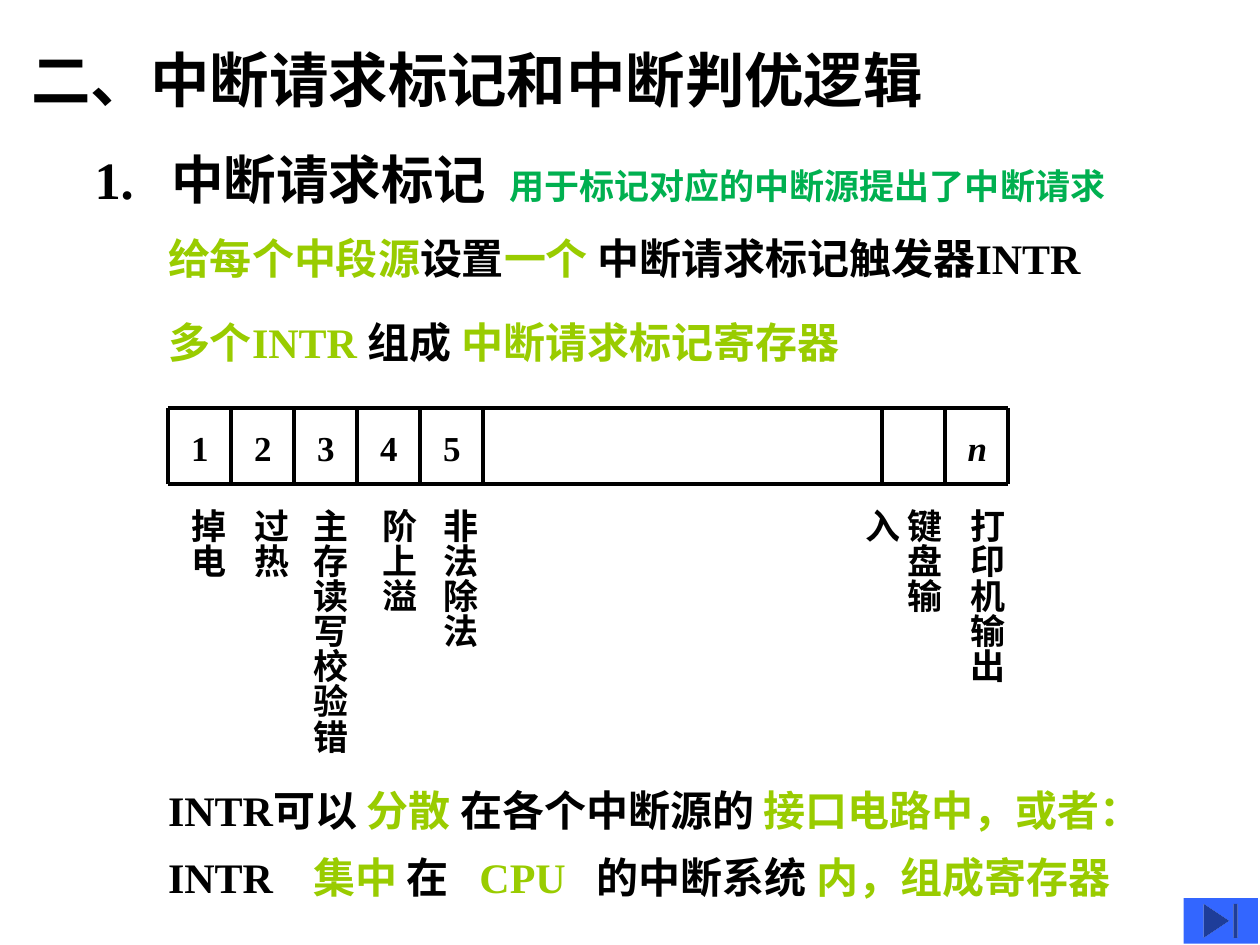
from dataclasses import dataclass

from lxml import etree
from pptx import Presentation
from pptx import util as u
from pptx.dml.color import RGBColor
from pptx.enum import shapes, text
from pptx.oxml.ns import qn


@dataclass(frozen=True)
class Theme:
    font: str = "Times New Roman"
    ink: str = "000000"
    accent: str = "99CC00"
    remark: str = "00B050"
    button: str = "3366FF"
    title: float = 34
    heading: float = 30
    body: float = 24
    label: float = 20
    rule: float = 2.25


class SlideBuilder:
    def __init__(self, slide, theme):
        self.slide = slide
        self.theme = theme

    def format_run(self, run, size, color, italic=None):
        run.font.name = self.theme.font
        run.font.size = u.Pt(size)
        run.font.bold = True
        run.font.italic = italic
        run.font.color.rgb = RGBColor.from_string(color)

    def set_line(self, frame, pieces, tabs=()):
        """Fill a one-line frame with (text, size, colour) pieces."""
        frame.margin_left = frame.margin_right = 0
        frame.auto_size = text.MSO_AUTO_SIZE.NONE
        frame.word_wrap = False
        frame.vertical_anchor = text.MSO_ANCHOR.MIDDLE
        line = frame.paragraphs[0]
        line.alignment = text.PP_ALIGN.LEFT
        if tabs:
            stops = etree.SubElement(line._p.get_or_add_pPr(), qn("a:tabLst"))
            for stop in tabs:
                etree.SubElement(stops, qn("a:tab"), pos=str(u.Pt(stop)), algn="l")
        for words, size, color in pieces:
            run = line.add_run()
            run.text = words
            self.format_run(run, size, color)

    def title(self, words, left, top, width, height):
        heading = self.slide.shapes.title
        heading.left, heading.top = u.Pt(left), u.Pt(top)
        heading.width, heading.height = u.Pt(width), u.Pt(height)
        self.set_line(heading.text_frame, [(words, self.theme.title, self.theme.ink)])

    def box(self, left, top, width, height):
        return self.slide.shapes.add_textbox(
            u.Pt(left), u.Pt(top), u.Pt(width), u.Pt(height))

    def sentence(self, pieces, left, top, width, height, tabs=()):
        self.set_line(self.box(left, top, width, height).text_frame, pieces, tabs)

    def label(self, words, left, top, width, height,
              vertical=False, wrap=False, italic=None):
        label = self.box(left, top, width, height)
        frame = label.text_frame
        frame.text = words
        frame.word_wrap = wrap
        frame.auto_size = text.MSO_AUTO_SIZE.SHAPE_TO_FIT_TEXT
        if vertical:
            label.element.txBody.bodyPr.set("vert", "eaVert")
        self.format_run(frame.paragraphs[0].runs[0],
                        self.theme.label, self.theme.ink, italic)

    def rule(self, x1, y1, x2, y2):
        rule = self.slide.shapes.add_connector(
            shapes.MSO_CONNECTOR.STRAIGHT, u.Pt(x1), u.Pt(y1), u.Pt(x2), u.Pt(y2))
        rule.line.color.rgb = RGBColor.from_string(self.theme.ink)
        rule.line.width = u.Pt(self.theme.rule)
        etree.SubElement(rule.element.spPr, qn("a:effectLst"))

    def end_button(self, left, top, width, height):
        button = self.slide.shapes.add_shape(
            shapes.MSO_SHAPE.ACTION_BUTTON_END,
            u.Pt(left), u.Pt(top), u.Pt(width), u.Pt(height))
        button.shadow.inherit = False
        button.fill.solid()
        button.fill.fore_color.rgb = RGBColor.from_string(self.theme.button)
        button.line.fill.background()


def main():
    deck = Presentation()
    deck.slide_width, deck.slide_height = u.Pt(720), u.Pt(540)
    theme = Theme()
    page = SlideBuilder(deck.slides.add_slide(deck.slide_layouts[5]), theme)
    margin = 96

    # Title and heading
    page.title("二、中断请求标记和中断判优逻辑", 18, 24, 563, 42)
    page.sentence([("1.\t中断请求标记\t", theme.heading, theme.ink),
                   ("用于标记对应的中断源提出了中断请求", theme.label, theme.remark)],
                  54, 78, 579.6, 48, tabs=(44, 237))

    # Statements above and below the register: top, width, height, tabs, pieces
    ink, accent = theme.ink, theme.accent
    statements = [
        (126, 575, 42, (), [("给每个中段源", accent), ("设置", ink),
                            ("一个 ", accent), ("中断请求标记触发器INTR", ink)]),
        (174, 552, 42, (), [("多个INTR ", accent), ("组成 ", ink),
                            ("中断请求标记寄存器", accent)]),
        (438, 538, 49, (), [("INTR可以 ", ink), ("分散 ", accent),
                            ("在各个中断源的 ", ink), ("接口电路中，或者：", accent)]),
        (480, 538, 42, (83, 178, 245),
         [("INTR\t", ink), ("集中 ", accent), ("在\t", ink), ("CPU\t", accent),
          ("的中断系统 ", ink), ("内，组成寄存器", accent)]),
    ]
    for top, width, height, tabs, pieces in statements:
        page.sentence([(words, theme.body, color) for words, color in pieces],
                      margin, top, width, height, tabs)

    # Register outline and cell dividers
    cell, reg_top, reg_bottom, reg_right = 36, 233.3, 276.5, 576
    for y in (reg_top, reg_bottom):
        page.rule(margin, y, reg_right, y)
    dividers = [margin + cell * i for i in range(6)]
    dividers += [reg_right - cell * i for i in (2, 1, 0)]
    for x in dividers:
        page.rule(x, reg_top, x, reg_bottom)

    # Bit numbers
    for i in range(5):
        page.label(str(i + 1), margin + cell * i + 6.2, 240, 24.5, 31)
    page.label("n", reg_right - cell + 5.8, 240, 26, 31, italic=True)

    # Interrupt source under each bit: name, left, height, wrap
    sources = [
        ("掉电", 96, 46.8, False),
        ("过热", 132, 46.8, False),
        ("主存读写校验错", 165.6, 145.4, False),
        ("阶上溢", 205.2, 66.2, False),
        ("非法除法", 240, 86.4, False),
        ("键盘输入", 505.4, 93.6, True),
        ("打印机输出", 541.4, 122.4, True),
    ]
    for name, left, height, wrap in sources:
        page.label(name, left, 283.7, 38.2, height, vertical=True, wrap=wrap)

    # Navigation button
    page.end_button(676.3, 513.2, 42.5, 26)

    deck.save("out.pptx")


if __name__ == "__main__":
    main()
